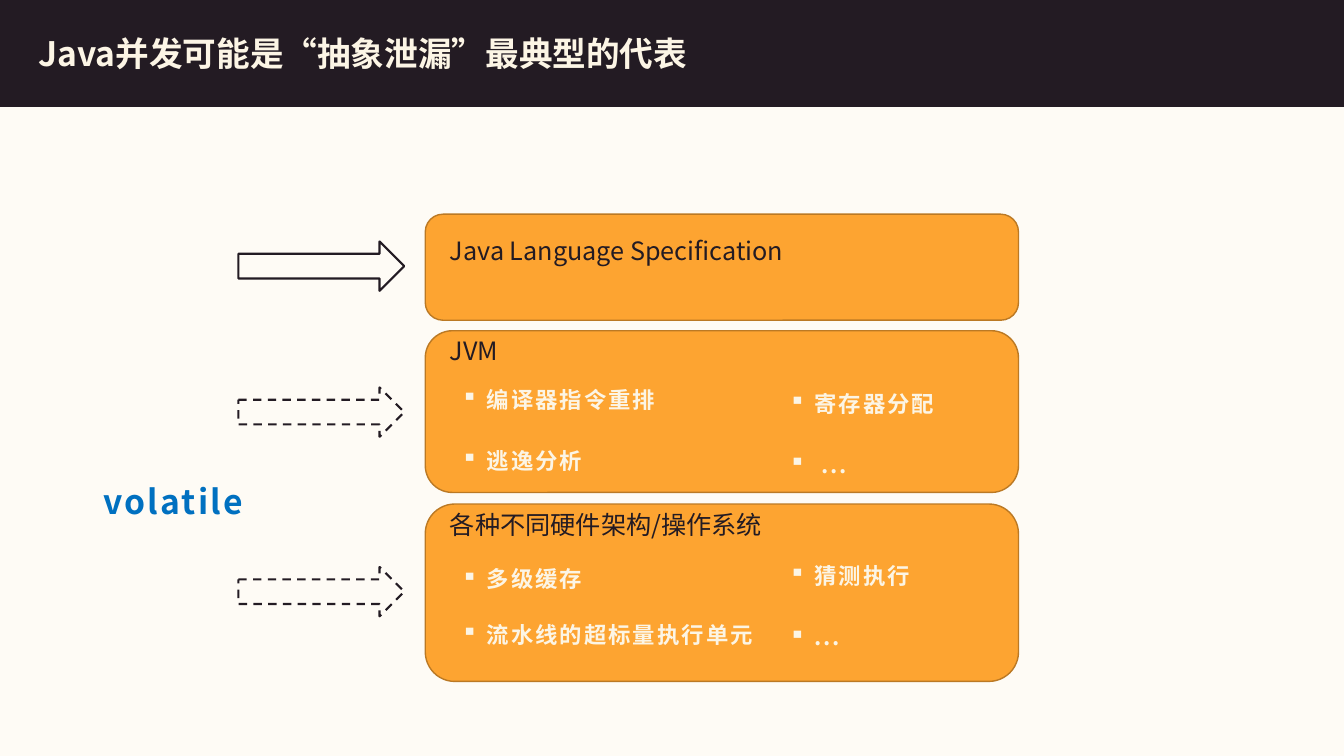
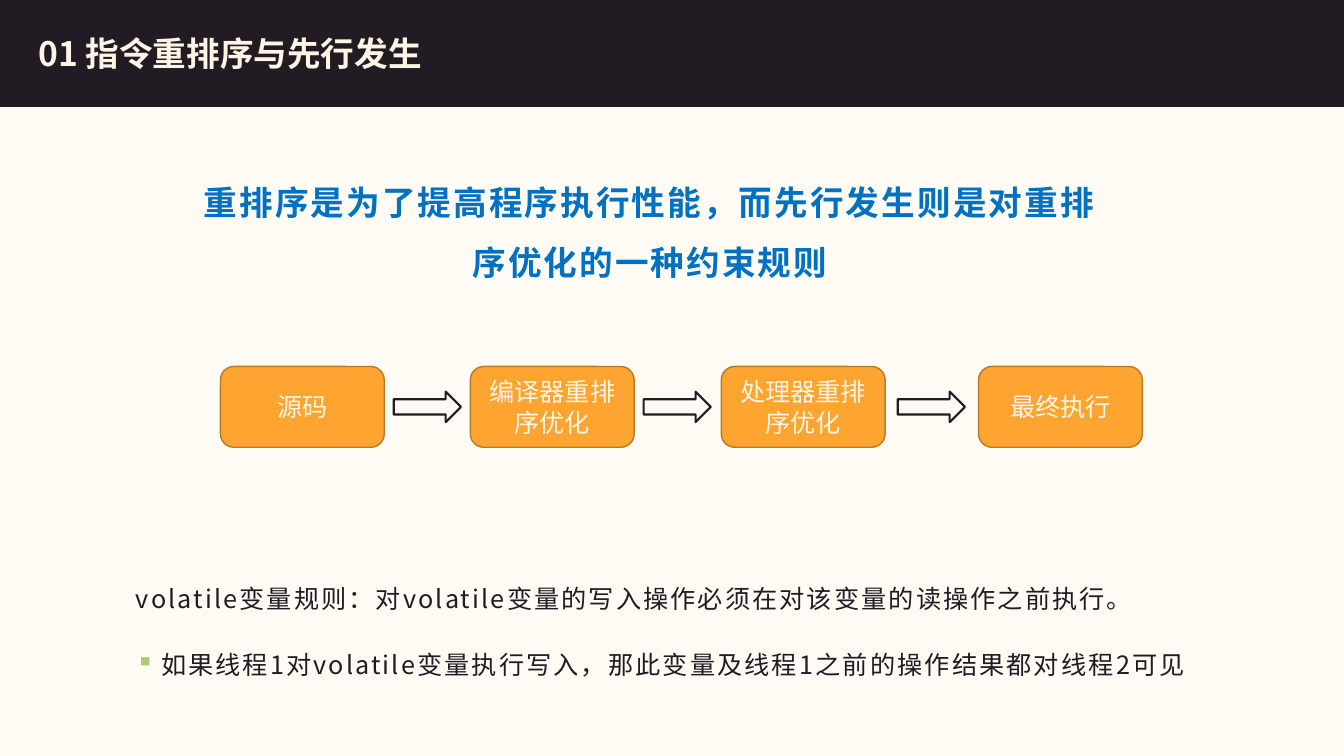
from dataclasses import dataclass
from itertools import pairwise
from typing import Any

from lxml import etree
from pptx import Presentation
from pptx.dml.color import RGBColor
from pptx.enum.dml import MSO_LINE
from pptx.enum.shapes import MSO_SHAPE
from pptx.enum.text import MSO_ANCHOR, MSO_AUTO_SIZE, PP_ALIGN
from pptx.oxml.ns import qn
from pptx.util import Emu, Pt

RECT, ROUND, ARROW = MSO_SHAPE.RECTANGLE, MSO_SHAPE.ROUNDED_RECTANGLE, MSO_SHAPE.RIGHT_ARROW
DASH = MSO_LINE.DASH
TOP, MIDDLE = MSO_ANCHOR.TOP, MSO_ANCHOR.MIDDLE
LEFT, CENTER = PP_ALIGN.LEFT, PP_ALIGN.CENTER
FIXED = MSO_AUTO_SIZE.NONE

SCALE = 9525
WIDE, HIGH = 1280, 720
PAPER, DARK, CREAM = "FEFBF5", "231B23", "FCF5E5"
AMBER, BROWN, BLUE, GREEN = "FDA431", "BB7924", "0070C0", "AACC6D"
SANS_JP, SANS_SC = "Noto Sans CJK JP", "Noto Sans CJK SC"


@dataclass(frozen=True)
class Box:
    left: int
    top: int
    width: int
    height: int


@dataclass(frozen=True)
class Style:
    size: int
    font: str
    color: str
    bold: bool = False
    track: int = 0
    lead: float = 1.0
    before: int = 0
    align: Any = LEFT
    anchor: Any = TOP


@dataclass(frozen=True)
class Line:
    text: str
    bullet: str = ""


@dataclass(frozen=True)
class Note:
    box: Box
    style: Style
    lines: tuple[Line, ...]


TITLE = Style(24, SANS_JP, CREAM, bold=True, anchor=MIDDLE)
LABEL = Style(18, SANS_JP, DARK)
STEP = Style(18, SANS_JP, CREAM, align=CENTER, anchor=MIDDLE)
CLAIM = Style(24, SANS_SC, BLUE, bold=True, track=150, lead=1.5, align=CENTER)
LIST = Style(16, SANS_SC, CREAM, bold=True, track=150, lead=1.5, before=15)
TIGHT = Style(16, SANS_SC, CREAM, bold=True, track=150, lead=1.3, before=15)
BODY = Style(18, SANS_SC, DARK, track=150, lead=1.5, before=15)

BAND = Box(0, 0, WIDE, 101)
HEAD = Box(27, 22, 954, 57)

LAYERS = [Box(405, top, 565, high) for top, high in ((204, 101), (315, 154), (480, 169))]
POINTERS = [(Box(227, top, 158, 47), dash) for top, dash in ((230, None), (369, DASH), (540, DASH))]


def items(*texts: str) -> tuple[Line, ...]:
    return tuple(Line(text, CREAM) for text in texts)


STACK = [
    Note(Box(742, 518, 338, 120), LIST, items("猜测执行", "...")),
    Note(Box(430, 526, 338, 120), TIGHT, items("多级缓存", "流水线的超标量执行单元")),
    Note(Box(430, 350, 264, 121), LIST, items("编译器指令重排", "逃逸分析")),
    Note(Box(742, 354, 229, 114), LIST, items("寄存器分配", " ...")),
    Note(Box(419, 480, 320, 38), LABEL, (Line("各种不同硬件架构/操作系统"),)),
    Note(Box(419, 315, 68, 38), LABEL, (Line("JVM"),)),
    Note(Box(419, 219, 411, 38), LABEL, (Line("Java Language Specification"),)),
    Note(Box(86, 434, 158, 88), CLAIM, (Line("volatile"),)),
]

STEPS = [(210, "源码"), (448, "编译器重排序优化"), (687, "处理器重排序优化"), (932, "最终执行")]
STEP_TOP, STEP_W, STEP_H = 349, 156, 77
ARROW_W, ARROW_H = 64, 29

RULES = [
    Note(Box(172, 149, 894, 74), CLAIM, (
        Line("重排序是为了提高程序执行性能，而先行发生则是对重排序优化的一种约束规则"),
    )),
    Note(Box(120, 536, 1071, 145), BODY, (
        Line("volatile变量规则：对volatile变量的写入操作必须在对该变量的读操作之前执行。"),
        Line("如果线程1对volatile变量执行写入，那此变量及线程1之前的操作结果都对线程2可见", GREEN),
    )),
]


def px(count: int) -> Emu:
    return Emu(count * SCALE)


def rgb(code: str) -> RGBColor:
    return RGBColor.from_string(code)


def apply(target: Any, values: dict[str, Any]) -> None:
    for name, value in values.items():
        setattr(target, name, value)


def place(box: Box) -> tuple[Emu, Emu, Emu, Emu]:
    return px(box.left), px(box.top), px(box.width), px(box.height)


def mark(para: Any, code: str) -> None:
    props = para._p.get_or_add_pPr()
    apply_xml = {"marL": px(24), "indent": px(-24)}
    for name, value in apply_xml.items():
        props.set(name, str(value))
    tint = etree.SubElement(props, qn("a:buClr"))
    etree.SubElement(tint, qn("a:srgbClr")).set("val", code)
    etree.SubElement(props, qn("a:buChar")).set("char", "▪")


def write(frame: Any, lines: tuple[Line, ...], style: Style) -> None:
    apply(frame, {"word_wrap": True, "auto_size": FIXED, "vertical_anchor": style.anchor})
    for index, line in enumerate(lines):
        para = frame.paragraphs[0] if index == 0 else frame.add_paragraph()
        if line.bullet:
            mark(para, line.bullet)
        apply(para, {"alignment": style.align, "line_spacing": style.lead})
        if index:
            para.space_before = Pt(style.before)
        run = para.add_run()
        run.text = line.text
        apply(run.font, {"size": Pt(style.size), "name": style.font, "bold": style.bold})
        run.font.color.rgb = rgb(style.color)
        props = run._r.get_or_add_rPr()
        etree.SubElement(props, qn("a:ea")).set("typeface", style.font)
        if style.track:
            props.set("spc", str(style.track))


def draw(slide: Any, kind: Any, box: Box, fill: str, edge: str,
         weight: float = 1, dash: Any = None) -> Any:
    shape = slide.shapes.add_shape(kind, *place(box))
    shape.shadow.inherit = False
    if fill:
        shape.fill.solid()
        shape.fill.fore_color.rgb = rgb(fill)
    else:
        shape.fill.background()
    shape.line.color.rgb = rgb(edge)
    apply(shape.line, {"width": Pt(weight), "dash_style": dash})
    return shape


def point(slide: Any, box: Box, dash: Any = None) -> None:
    draw(slide, ARROW, box, "", DARK, 1.5, dash)


def panel(slide: Any, box: Box) -> Any:
    return draw(slide, ROUND, box, AMBER, BROWN)


def jot(slide: Any, notes: list[Note]) -> None:
    for note in notes:
        area = slide.shapes.add_textbox(*place(note.box))
        write(area.text_frame, note.lines, note.style)


def start(deck: Any, text: str) -> Any:
    slide = deck.slides.add_slide(deck.slide_layouts[5])
    band = draw(slide, RECT, BAND, DARK, DARK)
    title = slide.shapes.title
    title._element.addprevious(band._element)
    apply(title, dict(zip(("left", "top", "width", "height"), place(HEAD))))
    write(title.text_frame, (Line(text),), TITLE)
    return slide


def show_stack(deck: Any) -> None:
    slide = start(deck, "Java并发可能是“抽象泄漏”最典型的代表")
    for layer in LAYERS:
        panel(slide, layer)
    for box, dash in POINTERS:
        point(slide, box, dash)
    jot(slide, STACK)


def show_flow(deck: Any) -> None:
    slide = start(deck, "01 指令重排序与先行发生")
    for left, text in STEPS:
        step = panel(slide, Box(left, STEP_TOP, STEP_W, STEP_H))
        write(step.text_frame, (Line(text),), STEP)
    top = STEP_TOP + (STEP_H - ARROW_H) // 2
    for (left, _), (right, _) in pairwise(STEPS):
        mid = (left + STEP_W + right) // 2
        point(slide, Box(mid - ARROW_W // 2, top, ARROW_W, ARROW_H))
    jot(slide, RULES)


def main() -> None:
    deck = Presentation()
    apply(deck, {"slide_width": px(WIDE), "slide_height": px(HIGH)})
    fill = deck.slide_master.background.fill
    fill.solid()
    fill.fore_color.rgb = rgb(PAPER)
    show_stack(deck)
    show_flow(deck)
    deck.save("out.pptx")


if __name__ == "__main__":
    main()
